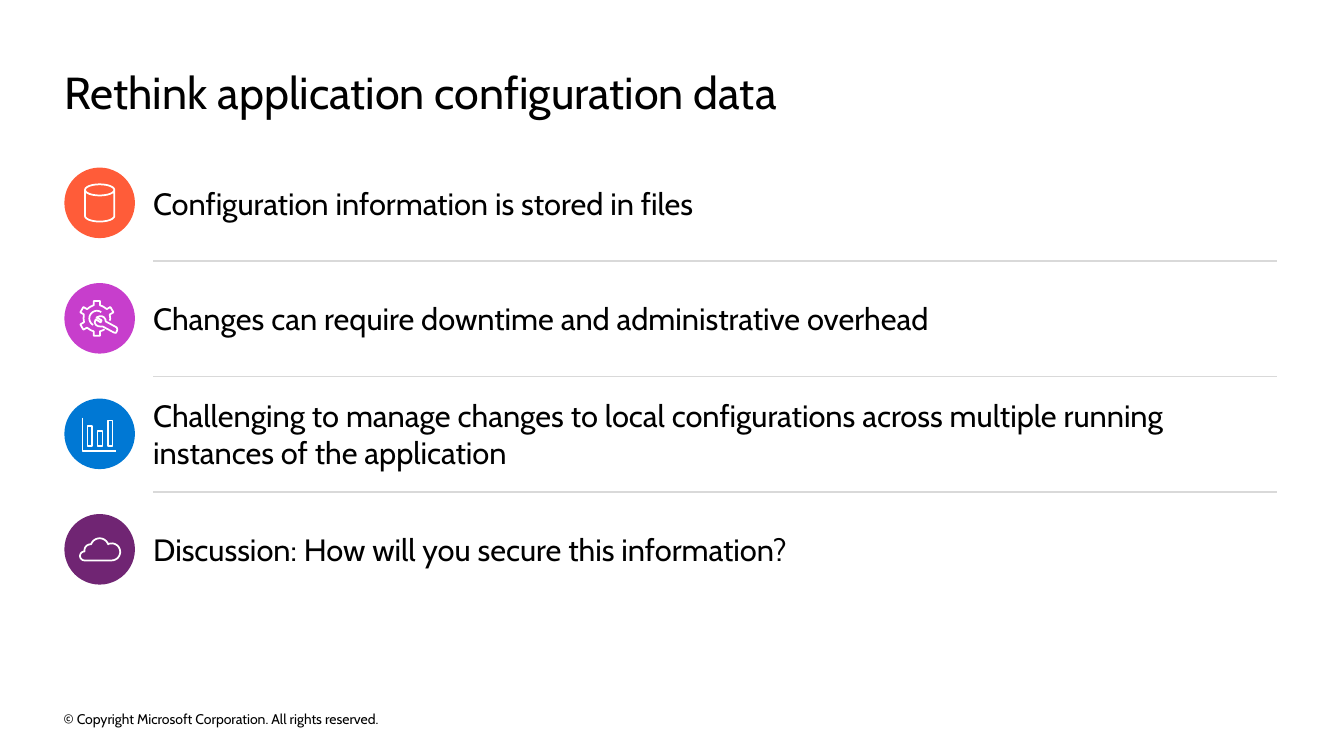
from math import cos, radians, sin

from lxml import etree
from pptx import Presentation
from pptx.dml.color import RGBColor
from pptx.enum.shapes import MSO_CONNECTOR, MSO_SHAPE
from pptx.enum.text import MSO_ANCHOR, PP_ALIGN
from pptx.oxml.ns import qn
from pptx.util import Pt

STRAIGHT = MSO_CONNECTOR.STRAIGHT
ELLIPSE, CYLINDER = MSO_SHAPE.OVAL, MSO_SHAPE.CAN
TOP, MIDDLE, LEFT = MSO_ANCHOR.TOP, MSO_ANCHOR.MIDDLE, PP_ALIGN.LEFT

# Content
TITLE = "Rethink application configuration data"
COPYRIGHT = "© Copyright Microsoft Corporation. All rights reserved."
ROWS = [
    ("database", "FF5C39", "Configuration information is stored in files"),
    ("gear", "C73ECC", "Changes can require downtime and administrative overhead"),
    ("chart", "0078D4", "Challenging to manage changes to local configurations across "
                        "multiple running instances of the application"),
    ("cloud", "702573", "Discussion: How will you secure this information?"),
]

THEME = {
    "font": "Cabin", "text": "000000", "background": "FFFFFF",
    "separator": "D9D9D9", "icon": "FFFFFF",
    "title_size": 32, "body_size": 22, "copyright_size": 10,
    "separator_width": 1, "icon_width": 1.25,
}

# Layout, in points
SLIDE_WIDTH, SLIDE_HEIGHT = 960, 540
MARGIN = 46
DISC = 50.4
ICON_X = MARGIN + DISC / 2
FIRST_ROW_Y, ROW_PITCH = 144.9, 82.5
TEXT_LEFT, TEXT_WIDTH, TEXT_HEIGHT = 109.4, 804, 61
SEPARATOR_RIGHT, SEPARATOR_DROP = 912.2, 41.5

# Icon outlines, in points from the centre of the disc
WRENCH = [(2.2, 5.8), (10.1, 10.1), (11.5, 10.4), (12.2, 9.4), (12.6, 8), (12.2, 6.5),
          (4.3, 2.2), (4.1, 0.7), (3, -0.8), (1.6, -1.5), (0, -1.5), (-2.2, -0.7),
          (1.4, 1.4), (0.7, 2.9), (-2.9, 0.7), (-3.6, 2.9), (-2.8, 4.6), (-1, 5.7)]
CHART_AXES = [(-12.2, -11.6), (-12.2, 12.2), (11.5, 12.2)]
CHART_BARS = [(-8.6, -5.8), (-1.4, -2.2), (5.8, -9.4)]
BAR_WIDTH, BAR_BOTTOM = 3.4, 8.6
CLOUD_ARCS = [(8.6, 1.8, 6.1, 90, -110), (0, -1.4, 6.5, -20, -155),
              (-6.5, 0.7, 4.3, -85, -175), (-10.8, 4.7, 3.2, -90, -270)]
GEAR_X, GEAR_RADIUS, TOOTH_RADIUS, TOOTH_HALF = -2, 9.5, 12.4, 2.2


def arc(x, y, radius, start, end, steps=16):
    angles = [radians(start + (end - start) * i / steps) for i in range(steps + 1)]
    return [(x + radius * cos(a), y + radius * sin(a)) for a in angles]


def gear_outline():
    points = arc(GEAR_X, 0, GEAR_RADIUS, 55, 77, 3)
    for degrees in range(90, 331, 60):
        a = radians(degrees)
        tooth = [(GEAR_RADIUS, -TOOTH_HALF), (TOOTH_RADIUS, -TOOTH_HALF),
                 (TOOTH_RADIUS, TOOTH_HALF), (GEAR_RADIUS, TOOTH_HALF)]
        points += [(GEAR_X + r * cos(a) - t * sin(a), r * sin(a) + t * cos(a))
                   for r, t in tooth]
        points += arc(GEAR_X, 0, GEAR_RADIUS, degrees + 15, degrees + 40, 3)
    return points


def bar_outline(left, top):
    right = left + BAR_WIDTH
    return [(left, BAR_BOTTOM), (left, top), (right, top), (right, BAR_BOTTOM)]


# Each icon is a list of (points, closed) contours
ICONS = {
    "gear": [(gear_outline(), False), (arc(GEAR_X, 0, 5.4, 305, 120), False), (WRENCH, True)],
    "chart": [(bar_outline(*bar), True) for bar in CHART_BARS] + [(CHART_AXES, False)],
    "cloud": [([point for part in CLOUD_ARCS for point in arc(*part)], True)],
}


def color(name):
    return RGBColor.from_string(THEME.get(name, name))


def add_text(slide, text, left, top, width, height, size, anchor):
    frame = slide.shapes.add_textbox(Pt(left), Pt(top), Pt(width), Pt(height)).text_frame
    frame.word_wrap = True
    frame.vertical_anchor = anchor
    frame.margin_left = frame.margin_top = frame.margin_right = frame.margin_bottom = 0
    paragraph = frame.paragraphs[0]
    paragraph.alignment = LEFT
    run = paragraph.add_run()
    run.text = text
    run.font.name = THEME["font"]
    run.font.size = Pt(THEME[size])
    run.font.color.rgb = color("text")


def add_disc(slide, center_y, fill):
    disc = slide.shapes.add_shape(ELLIPSE, Pt(MARGIN), Pt(center_y - DISC / 2),
                                  Pt(DISC), Pt(DISC))
    disc.shadow.inherit = False
    disc.fill.solid()
    disc.fill.fore_color.rgb = color(fill)
    disc.line.fill.background()


def build_outline(slide, contours, center_y):
    def place(points):
        return [(Pt(ICON_X + x), Pt(center_y + y)) for x, y in points]

    builder = None
    for points, closed in contours:
        start, *rest = place(points)
        if builder is None:
            builder = slide.shapes.build_freeform(*start, scale=1.0)
        else:
            builder.move_to(*start)
        builder.add_line_segments(rest, close=closed)
    return builder.convert_to_shape()


def add_icon(slide, name, center_y):
    if name == "database":
        icon = slide.shapes.add_shape(CYLINDER, Pt(ICON_X - 10.5), Pt(center_y - 13.2),
                                      Pt(21), Pt(26.6))
        icon.adjustments[0] = 0.38
    else:
        icon = build_outline(slide, ICONS[name], center_y)
    icon.shadow.inherit = False
    icon.fill.background()
    icon.line.color.rgb = color("icon")
    icon.line.width = Pt(THEME["icon_width"])


def add_separator(slide, y):
    line = slide.shapes.add_connector(STRAIGHT, Pt(TEXT_LEFT), Pt(y), Pt(SEPARATOR_RIGHT), Pt(y))
    line.line.color.rgb = color("separator")
    line.line.width = Pt(THEME["separator_width"])
    etree.SubElement(line._element.spPr, qn("a:effectLst"))


def main():
    presentation = Presentation()
    presentation.slide_width, presentation.slide_height = Pt(SLIDE_WIDTH), Pt(SLIDE_HEIGHT)
    slide = presentation.slides.add_slide(presentation.slide_layouts[6])
    slide.background.fill.solid()
    slide.background.fill.fore_color.rgb = color("background")

    # Title and footer
    add_text(slide, TITLE, MARGIN, 46, 645, 39, "title_size", TOP)
    add_text(slide, COPYRIGHT, MARGIN - 0.5, 505.5, 327, 16, "copyright_size", MIDDLE)

    # Icon rows with a separator between neighbours
    for index, (icon, fill, text) in enumerate(ROWS):
        center_y = FIRST_ROW_Y + index * ROW_PITCH
        add_disc(slide, center_y, fill)
        add_icon(slide, icon, center_y)
        add_text(slide, text, TEXT_LEFT, center_y - TEXT_HEIGHT / 2,
                 TEXT_WIDTH, TEXT_HEIGHT, "body_size", MIDDLE)
        if index < len(ROWS) - 1:
            add_separator(slide, center_y + SEPARATOR_DROP)

    presentation.save("out.pptx")


if __name__ == "__main__":
    main()
